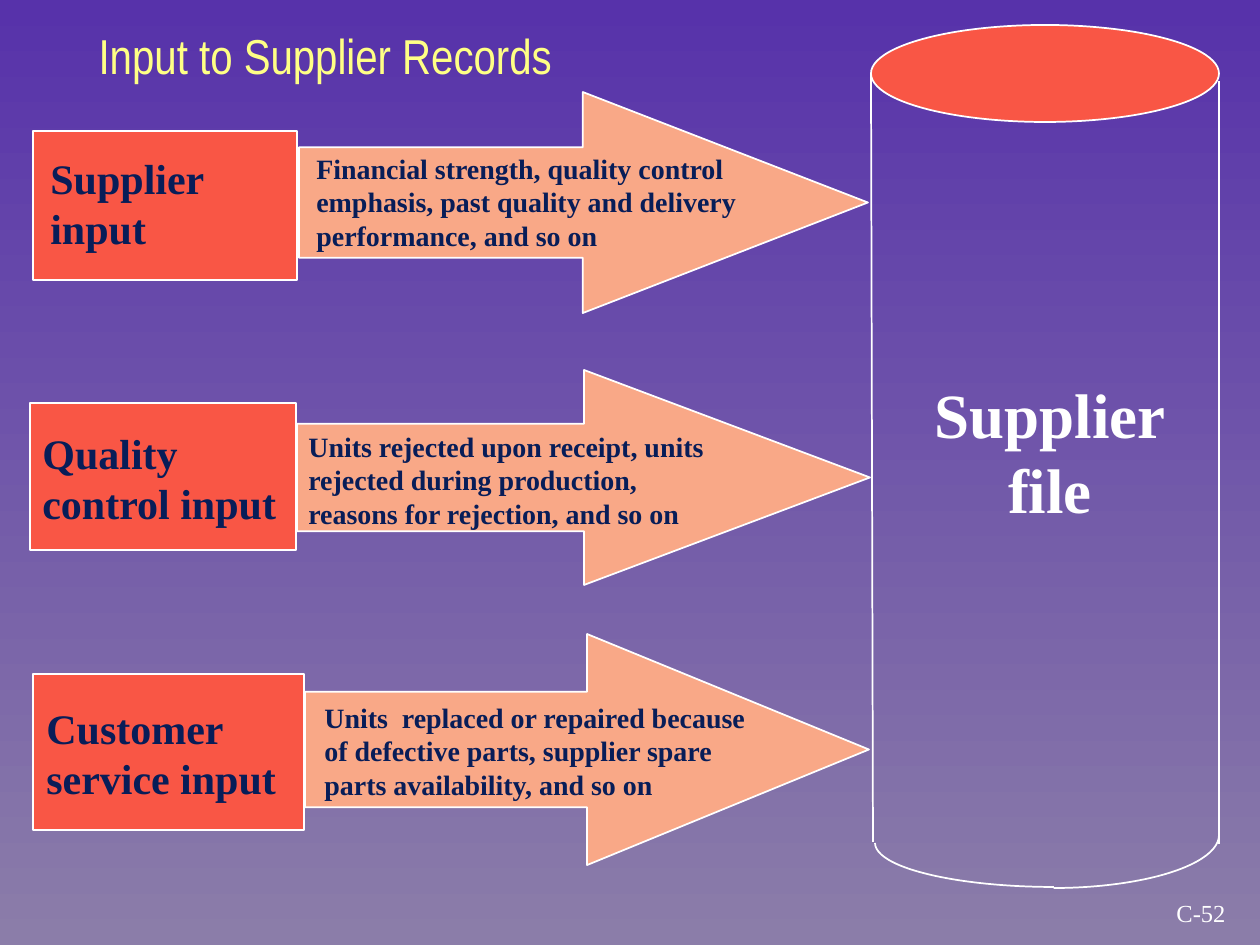
from lxml import etree
from pptx import Presentation
from pptx import util as u
from pptx.dml.color import RGBColor
from pptx.enum import shapes, text
from pptx.oxml.ns import qn

PX = 914400 / 126
VIOLET = RGBColor(0x57, 0x32, 0xAA)
MAUVE = RGBColor(0x8B, 0x7D, 0xA9)
RED = RGBColor(0xF9, 0x56, 0x45)
PEACH = RGBColor(0xF9, 0xA8, 0x87)
NAVY = RGBColor(0x08, 0x1D, 0x58)
YELLOW = RGBColor(0xFF, 0xFF, 0x85)
WHITE = RGBColor(0xFF, 0xFF, 0xFF)
SERIF, NARROW = "Times New Roman", "Arial Narrow"
LEFT, CENTER = text.PP_ALIGN.LEFT, text.PP_ALIGN.CENTER
KIND = shapes.MSO_SHAPE

# Content: frames are left, top, width, height in px
INPUTS = [
    dict(box=(33, 131, 264, 149), arrow=(299, 92, 569, 221), head=1.29,
         label=["Supplier", "input"], label_at=(38, 146, 179, 113),
         detail=["Financial strength, quality control",
                 "emphasis, past quality and delivery",
                 "performance, and so on"], detail_at=(304, 145, 445, 113)),
    dict(box=(30, 403, 266, 147), arrow=(297, 370, 573, 215), head=1.33,
         label=["Quality", "control input"], label_at=(30, 421, 263, 113),
         detail=["Units rejected upon receipt, units",
                 "rejected during production,",
                 "reasons for rejection, and so on"], detail_at=(296, 423, 421, 113)),
    dict(box=(33, 674, 271, 156), arrow=(305, 634, 564, 231), head=1.22,
         label=["Customer", "service input"], label_at=(34, 696, 255, 113),
         detail=["Units  replaced or repaired because",
                 "of defective parts, supplier spare",
                 "parts availability, and so on"], detail_at=(312, 694, 447, 113)),
]
CYLINDER_TOP = (871, 25, 348, 97)
CYLINDER_SIDES = [(871, 73, 873, 842), (1219, 81, 1219, 844)]
# Frame of the full ellipse, then start and end angle of the visible quarter
CYLINDER_BASE = [((875, 799, 358, 88), 90, 180), ((888, 782, 331, 106), 0, 90)]
# Lines, frame, size, font, colour, bold
CAPTIONS = [
    (["Supplier", "file"], (922, 369, 256, 164), 36, SERIF, WHITE, True),
    (["Input to Supplier Records"], (20, 19, 610, 71), 28, NARROW, YELLOW, False),
    (["C-52"], (1125, 892, 152, 43), 14, SERIF, WHITE, False),
]


def emu(*lengths):
    return [u.Emu(round(length * PX)) for length in lengths]


def add_outline(page, kind, frame, fill=None):
    shape = page.shapes.add_shape(kind, *emu(*frame))
    shape.shadow.inherit = False
    if fill is None:
        shape.fill.background()
    else:
        shape.fill.solid()
        shape.fill.fore_color.rgb = fill
    shape.line.color.rgb = WHITE
    shape.line.width = u.Pt(1)
    return shape


def add_side(page, ends):
    side = page.shapes.add_connector(shapes.MSO_CONNECTOR.STRAIGHT, *emu(*ends))
    side.line.color.rgb = WHITE
    side.line.width = u.Pt(1)
    etree.SubElement(side._element.spPr, qn("a:effectLst"))


def add_lines(page, lines, frame, size, font=SERIF, color=NAVY, bold=True, align=LEFT):
    box = page.shapes.add_textbox(*emu(*frame))
    body = box.text_frame
    body.word_wrap = False
    body.auto_size = text.MSO_AUTO_SIZE.SHAPE_TO_FIT_TEXT
    for number, line in enumerate(lines):
        para = body.add_paragraph() if number else body.paragraphs[0]
        para.alignment = align
        span = para.add_run()
        span.text = line
        span.font.name = font
        span.font.size = u.Pt(size)
        span.font.bold = bold
        span.font.color.rgb = color


def main():
    deck = Presentation()
    deck.slide_width, deck.slide_height = emu(1260, 945)
    page = deck.slides.add_slide(deck.slide_layouts[6])

    # Background fading downwards
    backdrop = page.background.fill
    backdrop.gradient()
    backdrop.gradient_angle = 270
    for stop, color in zip(backdrop.gradient_stops, (VIOLET, MAUVE)):
        stop.color.rgb = color

    # Input boxes and their arrows
    for item in INPUTS:
        add_outline(page, KIND.RECTANGLE, item["box"], RED)
        arrow = add_outline(page, KIND.RIGHT_ARROW, item["arrow"], PEACH)
        arrow.adjustments[1] = item["head"]
        add_lines(page, item["label"], item["label_at"], 24)
        add_lines(page, item["detail"], item["detail_at"], 16)

    # Supplier file cylinder
    add_outline(page, KIND.OVAL, CYLINDER_TOP, RED)
    for ends in CYLINDER_SIDES:
        add_side(page, ends)
    for frame, start, end in CYLINDER_BASE:
        arc = add_outline(page, KIND.ARC, frame)
        # Angles are stored in 1/60000 degree, adjustments in 1/100000
        arc.adjustments[0] = start * 0.6
        arc.adjustments[1] = end * 0.6

    # File name, title and page number
    for caption in CAPTIONS:
        add_lines(page, *caption, align=CENTER)

    deck.save("out.pptx")


if __name__ == "__main__":
    main()
